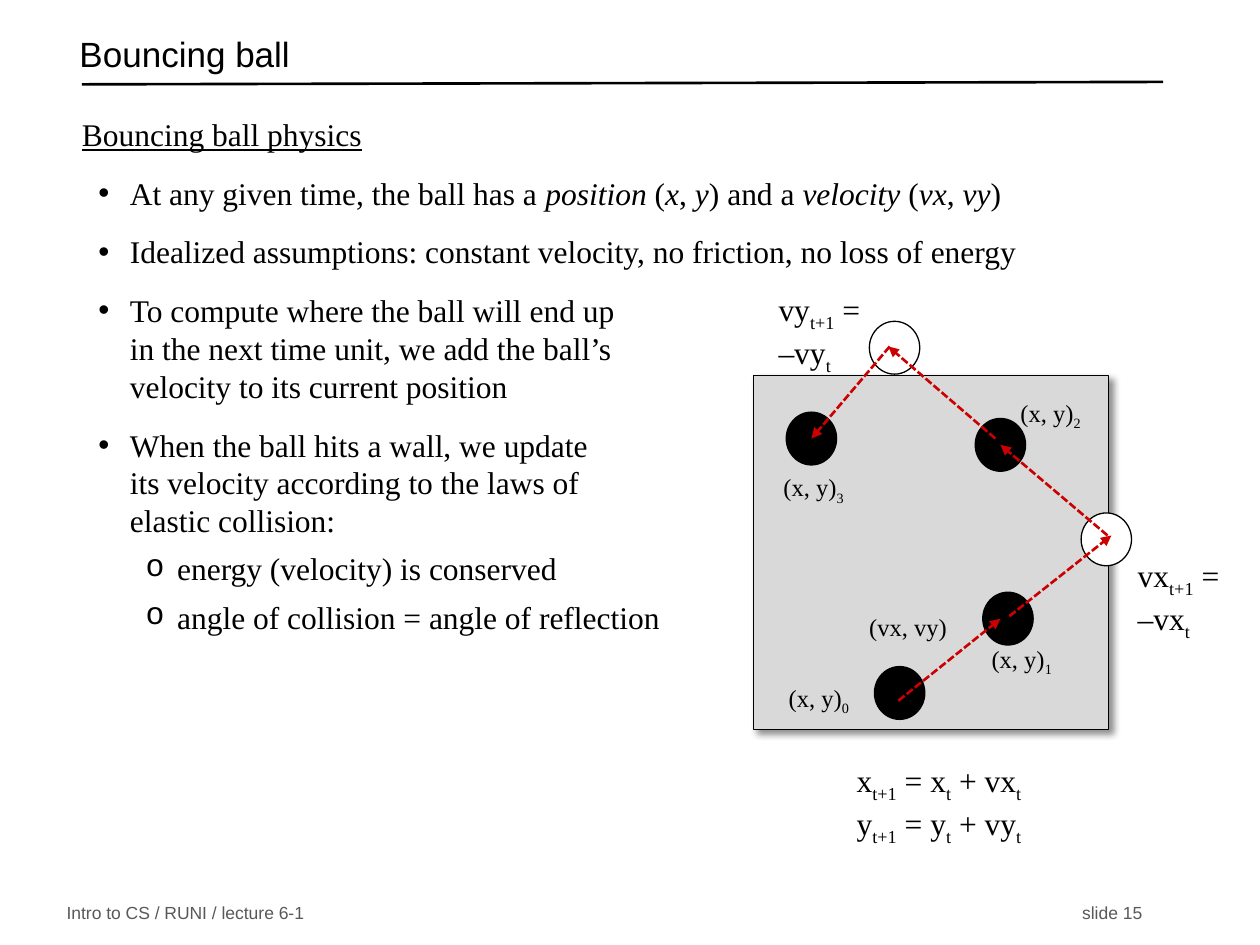
from lxml.etree import SubElement
from pptx import Presentation
from pptx.dml.color import RGBColor
from pptx.enum.dml import MSO_LINE
from pptx.enum.shapes import MSO_CONNECTOR, MSO_SHAPE
from pptx.enum.text import MSO_ANCHOR, MSO_AUTO_SIZE, PP_ALIGN
from pptx.oxml.ns import qn
from pptx.util import Pt

SERIF, SANS = "Times New Roman", "Arial"
BLACK, WHITE, GRAY, RED = "000000", "FFFFFF", "D9D9D9", "CC0000"
BALL_W, BALL_H = 28.8, 30.2


def rgb(color):
    return RGBColor.from_string(color)


def write(p, text, size=18, font=SERIF, color=BLACK, underline=False):
    """Asterisks switch italics, underscores switch subscript."""
    italic = sub = False
    for i, line in enumerate(text.split("\n")):
        if i:
            p.add_line_break()
        for j, styled in enumerate(line.split("*")):
            italic = j % 2 == 1
            for k, part in enumerate(styled.split("_")):
                sub = k % 2 == 1
                if not part:
                    continue
                r = p.add_run()
                r.text = part
                r.font.size, r.font.name = Pt(size), font
                r.font.color.rgb = rgb(color)
                r.font.italic, r.font.underline = italic, underline
                if sub:
                    r._r.get_or_add_rPr().set("baseline", "-25000")


def add_text(slide, x, y, w, h, text, wrap=False, anchor=MSO_ANCHOR.TOP, **fmt):
    tf = slide.shapes.add_textbox(Pt(x), Pt(y), Pt(w), Pt(h)).text_frame
    tf.word_wrap = wrap
    tf.vertical_anchor = anchor
    for i, line in enumerate(text.split("\n")):
        write(tf.add_paragraph() if i else tf.paragraphs[0], line, **fmt)


def add_filled(slide, kind, x, y, w, h, fill):
    sp = slide.shapes.add_shape(kind, Pt(x), Pt(y), Pt(w), Pt(h))
    sp.shadow.inherit = False
    sp.fill.solid()
    sp.fill.fore_color.rgb = rgb(fill)
    sp.line.color.rgb = rgb(BLACK)
    sp.line.width = Pt(0.75)
    return sp


def add_line(slide, x1, y1, x2, y2, color, arrow=False):
    cn = slide.shapes.add_connector(MSO_CONNECTOR.STRAIGHT, Pt(x1), Pt(y1), Pt(x2), Pt(y2))
    cn.line.color.rgb = rgb(color)
    cn.line.width = Pt(1.5)
    if arrow:
        cn.line.dash_style = MSO_LINE.SQUARE_DOT
        SubElement(cn.line._get_or_add_ln(), qn("a:tailEnd"), type="triangle")
    SubElement(cn._element.spPr, qn("a:effectLst"))


def place(sp, x, y, w, h, anchor):
    sp.left, sp.top, sp.width, sp.height = Pt(x), Pt(y), Pt(w), Pt(h)
    tf = sp.text_frame
    tf.word_wrap, tf.auto_size = True, MSO_AUTO_SIZE.NONE
    tf.vertical_anchor = anchor
    return tf


def set_bullet(p, indent, hang, char, font):
    pPr = p._p.get_or_add_pPr()
    pPr.set("marL", str(Pt(indent)))
    pPr.set("indent", str(-Pt(hang)))
    if char:
        SubElement(pPr, qn("a:buFont"), typeface=font)
        SubElement(pPr, qn("a:buChar"), char=char)
    else:
        SubElement(pPr, qn("a:buNone"))


def add_header(slide, x, y, w, h):
    p = place(slide.shapes.title, x, y, w, h, MSO_ANCHOR.MIDDLE).paragraphs[0]
    p.alignment = PP_ALIGN.LEFT
    p.line_spacing = 0.7
    write(p, "Bouncing ball", size=20, font=SANS)
    add_line(slide, x + 8.6, y + 32.4, x + w + 7.2, y + 31, BLACK)


def add_body(slide, x, y, w, h):
    heading = (0, 0, 0, None, None)
    bullet = (27.4, 18, 12, "•", SANS)
    sub_bullet = (54.4, 18, 6, "o", "Courier New")
    items = [
        (heading, "Bouncing ball physics"),
        (bullet, "At any given time, the ball has a *position* (*x*, *y*) and a *velocity* (*vx*, *vy*)"),
        (bullet, "Idealized assumptions: constant velocity, no friction, no loss of energy"),
        (bullet, "To compute where the ball will end up\nin the next time unit, we add the ball’s\n"
                 "velocity to its current position"),
        (bullet, "When the ball hits a wall, we update\nits velocity according to the laws of\n"
                 "elastic collision:"),
        (sub_bullet, "energy (velocity) is conserved"),
        (sub_bullet, "angle of collision = angle of reflection"),
    ]
    levels = [heading, bullet, sub_bullet]
    tf = place(slide.placeholders[1], x, y, w, h, MSO_ANCHOR.TOP)
    for i, (style, text) in enumerate(items):
        indent, hang, before, char, font = style
        p = tf.add_paragraph() if i else tf.paragraphs[0]
        p.level = levels.index(style)
        set_bullet(p, indent, hang, char, font)
        p.line_spacing = Pt(21.6 if i else 26)
        p.space_before, p.space_after = Pt(before), Pt(0)
        write(p, text, underline=style is heading)


def add_court(slide, x, y, w, h):
    court = add_filled(slide, MSO_SHAPE.RECTANGLE, x, y, w, h, GRAY)
    effects = court._element.spPr.find(qn("a:effectLst"))
    shadow = SubElement(effects, qn("a:outerShdw"), blurRad=str(Pt(4)), dist=str(Pt(3)),
                        dir="2700000", algn="tl", rotWithShape="0")
    SubElement(SubElement(shadow, qn("a:srgbClr"), val=BLACK), qn("a:alpha"), val="43000")

    balls = [(69.1, 166.3, BLACK), (131, 123.8, BLACK), (187.2, 78.5, WHITE),
             (126.7, 24.5, BLACK), (66.2, -31, WHITE), (18.7, 20.9, BLACK)]
    for dx, dy, fill in balls:
        add_filled(slide, MSO_SHAPE.OVAL, x + dx, y + dy, BALL_W, BALL_H, fill)

    moves = [(82.8, 185.8, 141.1, 139), (146.2, 137.5, 204.5, 91.4),
             (202.3, 91.4, 141.1, 39.6), (138.2, 36, 77, -16.6), (77.8, -16.6, 33.1, 36)]
    for x1, y1, x2, y2 in moves:
        add_line(slide, x + x1, y + y1, x + x2, y + y2, RED, arrow=True)

    labels = [(13, 172, 49.7, "(x, y)_0_"), (128.9, 149.8, 49.7, "(x, y)_1_"),
              (145.4, 9.4, 49.7, "(x, y)_2_"), (10, 51.8, 49.7, "(x, y)_3_"),
              (59, 131.8, 59, "(vx, vy)")]
    for dx, dy, width, text in labels:
        add_text(slide, x + dx, y + dy, width, 24.5, text, size=14)

    formulas = [(212.4, 99.4, 66.2, "vx_t+1_ = –vx_t_"), (7.2, -52.6, 67.7, "vy_t+1_ = –vy_t_"),
                (51.8, 216.7, 149.8, "x_t+1_ = x_t_ + vx_t_\ny_t+1_ = y_t_ + vy_t_")]
    for dx, dy, width, text in formulas:
        add_text(slide, x + dx, y + dy, width, 51.1, text, wrap=True)


def add_footer(slide, x, y, w, h):
    fmt = dict(anchor=MSO_ANCHOR.MIDDLE, size=10, font=SANS, color="595959")
    add_text(slide, x, y, 150, h, "Intro to CS / RUNI / lecture 6-1", **fmt)
    add_text(slide, x + w - 49, y, 49, h, "slide 15", **fmt)


def main():
    prs = Presentation()
    prs.slide_width, prs.slide_height = Pt(720), Pt(540)
    slide = prs.slides.add_slide(prs.slide_layouts[1])
    add_header(slide, 38.2, 15.8, 619.2, 36)
    add_body(slide, 39.6, 57.6, 622.8, 344.2)
    add_court(slide, 430.6, 214.6, 203, 202.3)
    add_footer(slide, 31, 514.1, 629.3, 15.1)
    prs.save("out.pptx")


if __name__ == "__main__":
    main()
